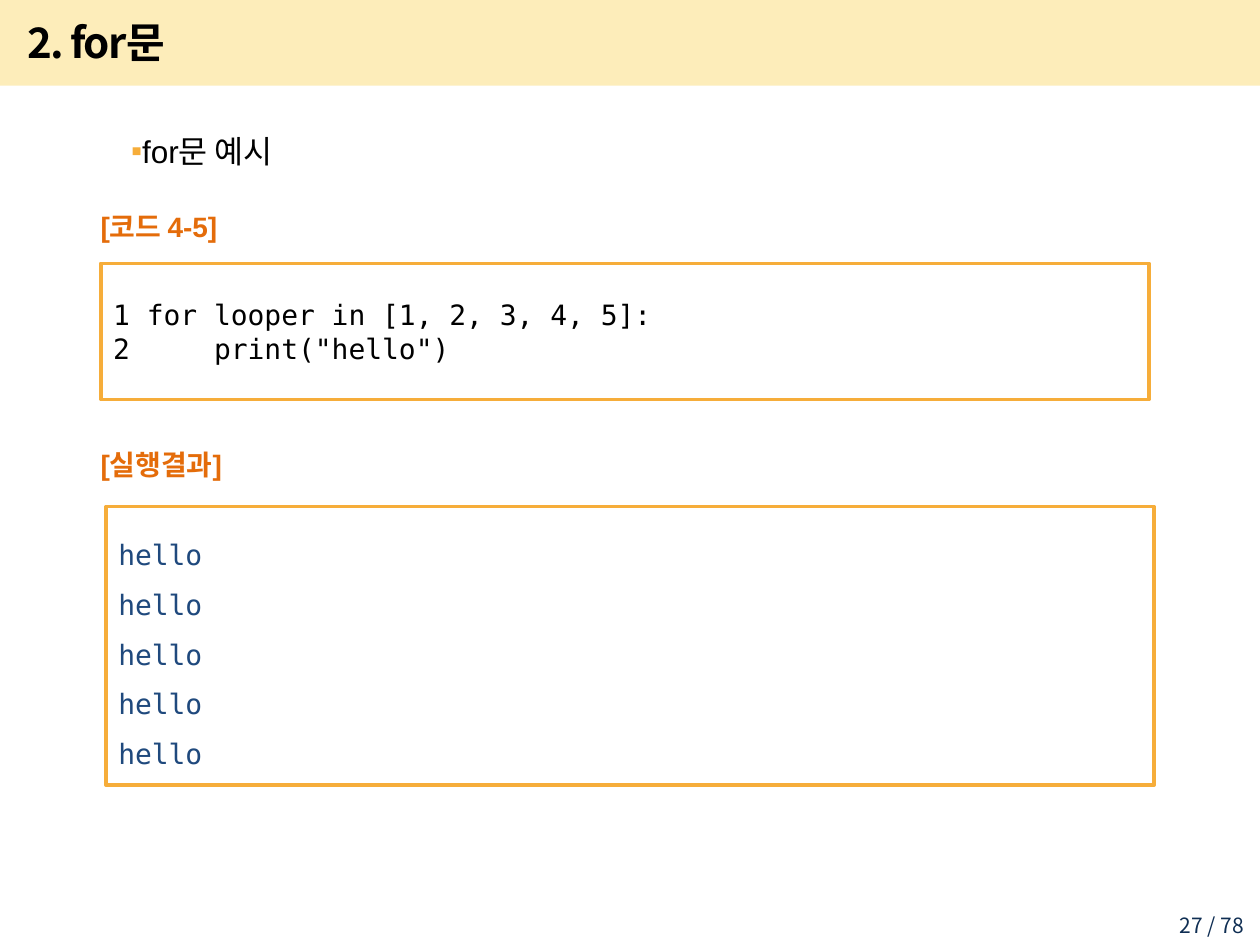
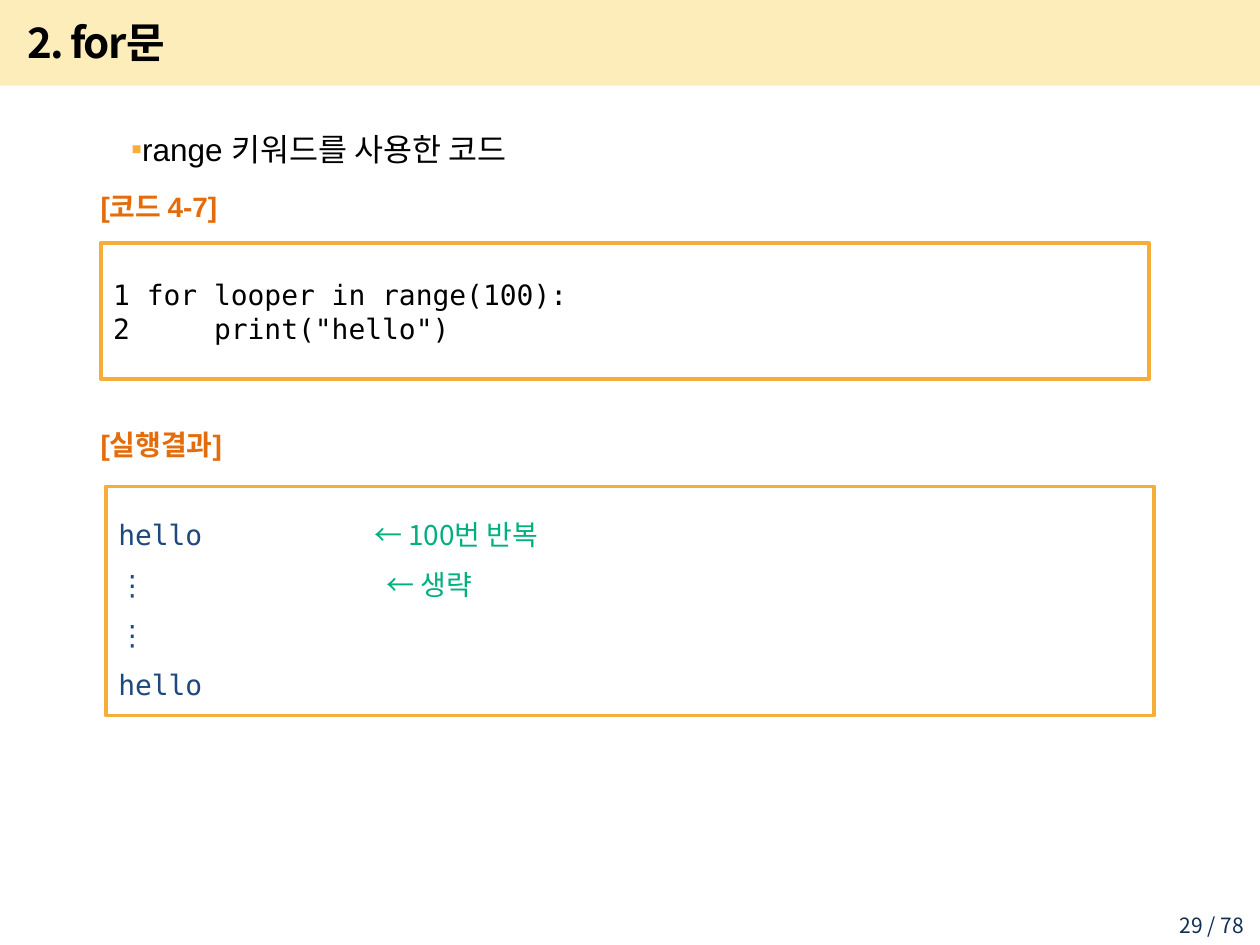
"""Build two slides about the for loop, each with a code box and its output."""
from lxml import etree
from pptx import Presentation
from pptx import util as u
from pptx.dml.color import RGBColor
from pptx.enum import shapes, text
from pptx.oxml import ns

SANS, KOR, MONO = "Arial", "Noto Sans CJK KR", "DejaVu Sans Mono"
BLACK, GOLD, RUST = "000000", "F6AD3A", "E46C0A"
NAVY, GREEN, INK, BAND = "1F497D", "02AF7E", "0F2E53", "FABE00"


def paint(fill, tone):
    """Give a fill one solid colour."""
    fill.solid()
    fill.fore_color.rgb = RGBColor.from_string(tone)


def write(para, words, size, face, tone, bold=False):
    """Add one formatted run to a paragraph."""
    run = para.add_run()
    run.text = words
    font = run.font
    font.size, font.name, font.bold = u.Pt(size), face, bold
    paint(font.fill, tone)
    props = run.font.element if hasattr(run.font, "element") else run._r.get_or_add_rPr()
    etree.SubElement(props, ns.qn("a:ea"), typeface=KOR)
    return props


pages = [
    dict(num="27 / 78", top=0.84, tall=5.86, head="for문 예시", tag="[코드 4-5]",
         y=2.09, loop="[1, 2, 3, 4, 5]", deep=2.21,
         lines=[("hello", MONO, None, None)] * 5),
    dict(num="29 / 78", top=0.82, tall=6.61, head="range 키워드를 사용한 코드",
         tag="[코드 4-7]", y=1.93, loop="range(100)", deep=1.82,
         lines=[("hello", MONO, "← 100번 반복", 2.03), ("⋮", KOR, "← 생략", 2.13),
                ("⋮", KOR, None, None), ("hello", MONO, None, None)]),
]

prs = Presentation()
prs.slide_width, prs.slide_height = u.Inches(10), u.Inches(7.5)

for n, page in enumerate(pages):
    slide = prs.slides.add_slide(prs.slide_layouts[1])

    if n == 0:
        band = slide.shapes.add_shape(shapes.MSO_SHAPE.RECTANGLE, 0, 0,
                                      prs.slide_width, u.Inches(0.68))
        band.shadow.inherit = False
        band.line.fill.background()
        paint(band.fill, BAND)
        tint = band.element.find(".//" + ns.qn("a:srgbClr"))
        etree.SubElement(tint, ns.qn("a:alpha"), val="27000")
        band.element.nvSpPr.cNvPr.set("id", "20")
        prs.slide_master.shapes.element.insert(2, band.element)

    title, body = slide.shapes.title, slide.placeholders[1]
    for hold, spot in ((title, (0.12, 0.07, 8.51, 0.52)),
                       (body, (0.35, page["top"], 9.15, page["tall"]))):
        hold.left, hold.top, hold.width, hold.height = map(u.Inches, spot)
        hold.text_frame.auto_size = text.MSO_AUTO_SIZE.NONE
    title.text_frame.vertical_anchor = text.MSO_ANCHOR.MIDDLE
    para = title.text_frame.paragraphs[0]
    para.alignment = text.PP_ALIGN.LEFT
    write(para, "2. for문", 24, KOR, BLACK, True).set("spc", "-100")

    body.text_frame.vertical_anchor = text.MSO_ANCHOR.TOP
    para = body.text_frame.paragraphs[0]
    para.level = 1
    props = para._p.get_or_add_pPr()
    props.set("marL", str(u.Inches(0.39)))
    props.set("indent", str(u.Inches(0.2)))
    tint = etree.SubElement(props, ns.qn("a:buClr"))
    etree.SubElement(tint, ns.qn("a:srgbClr"), val=GOLD)
    etree.SubElement(props, ns.qn("a:buFont"), typeface=SANS)
    etree.SubElement(props, ns.qn("a:buChar"), char="▪")
    para.line_spacing, para.space_before = u.Pt(33), u.Pt(0)
    write(para, page["head"], 18, SANS, BLACK)

    y = page["y"]
    for words, top, tall in ((page["tag"], y - 0.54, 0.5), ("[실행결과]", y + 1.32, 0.55)):
        label = slide.shapes.add_textbox(*map(u.Inches, (0.7, top, 1.57, tall)))
        frame = label.text_frame
        frame.word_wrap = True
        frame.vertical_anchor = text.MSO_ANCHOR.MIDDLE
        write(frame.paragraphs[0], words, 16, SANS, RUST, True)

    code = [(f"1 for looper in {page['loop']}:", MONO, None, None),
            ('2     print("hello")', MONO, None, None)]
    for lines, left, top, tall, tone, gap in (
            (code, 0.8, y, 1.08, BLACK, 1.0),
            (page["lines"], 0.84, y + 1.93, page["deep"], NAVY, u.Pt(28.5))):
        box = slide.shapes.add_shape(shapes.MSO_SHAPE.RECTANGLE,
                                     *map(u.Inches, (left, top, 8.32, tall)))
        box.shadow.inherit = False
        box.fill.background()
        paint(box.line.fill, GOLD)
        box.line.width = u.Pt(2)
        frame = box.text_frame
        frame.word_wrap = True
        frame.vertical_anchor = text.MSO_ANCHOR.MIDDLE
        for i, (words, face, note, stop) in enumerate(lines):
            para = frame.add_paragraph() if i else frame.paragraphs[0]
            para.alignment = text.PP_ALIGN.LEFT
            if note:
                tabs = etree.SubElement(para._p.get_or_add_pPr(), ns.qn("a:tabLst"))
                etree.SubElement(tabs, ns.qn("a:tab"), pos=str(u.Inches(stop)), algn="l")
            para.line_spacing = gap
            write(para, words + ("\t" if note else ""), 16, face, tone)
            if note:
                write(para, note, 16, KOR, GREEN)

    foot = slide.shapes.add_textbox(*map(u.Inches, (9.05, 7.22, 0.92, 0.23)))
    frame = foot.text_frame
    frame.word_wrap = True
    frame.margin_top = u.Inches(0.02)
    para = frame.paragraphs[0]
    para.alignment = text.PP_ALIGN.RIGHT
    write(para, page["num"], 12, KOR, INK)

prs.save("out.pptx")
